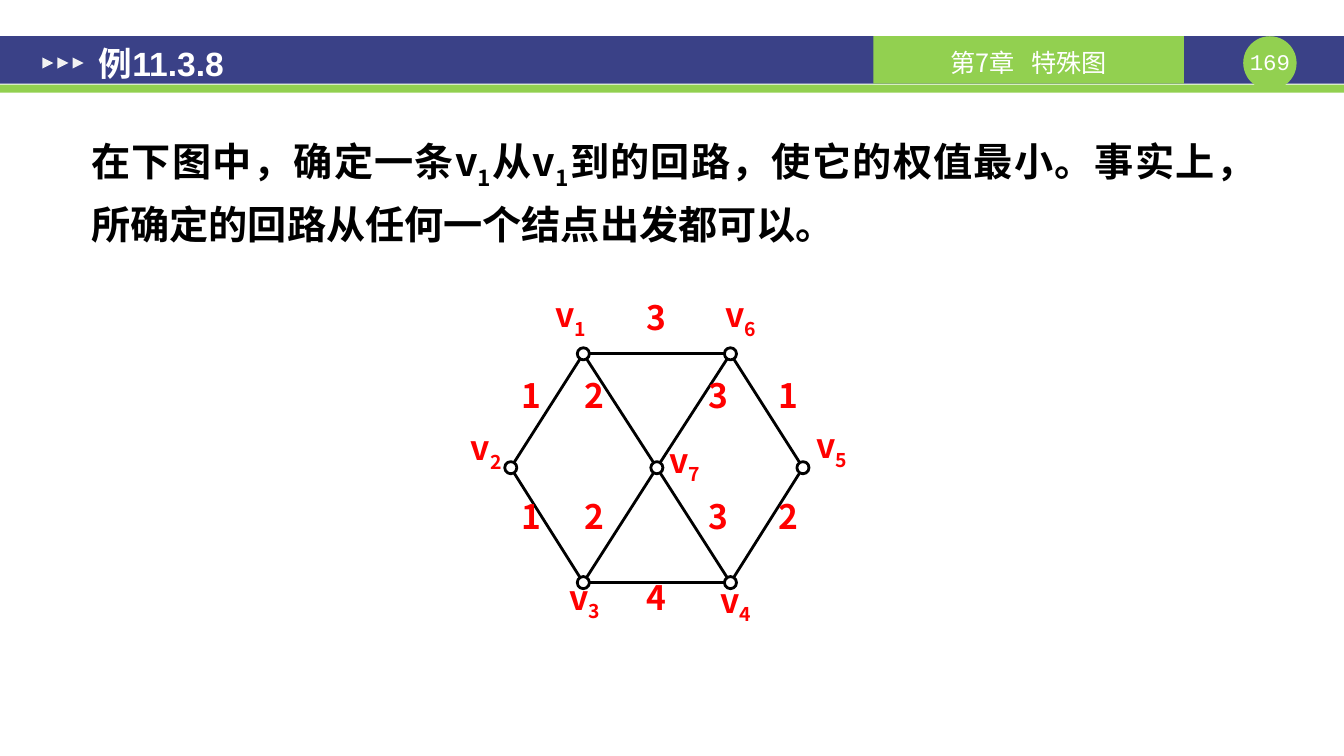
import pptx
import pptx.util
import pptx.dml.color
import pptx.enum.shapes
import pptx.enum.text
import pptx.oxml.ns
import lxml.etree

Inches = pptx.util.Inches
Shape = pptx.enum.shapes.MSO_SHAPE
Align = pptx.enum.text.PP_ALIGN
Anchor = pptx.enum.text.MSO_ANCHOR
qn = pptx.oxml.ns.qn

SANS = "Noto Sans CJK SC"
BLUE, GREEN, RED = "3A4187", "92D050", "FF0000"
WHITE, BLACK = "FFFFFF", "000000"
SIZE = 0.12

NODES = {
    "1": (5.79, 3.51), "6": (7.25, 3.51),
    "2": (5.07, 4.64), "7": (6.52, 4.64), "5": (7.97, 4.64),
    "3": (5.79, 5.78), "4": (7.25, 5.78),
}
EDGES = ["16", "12", "17", "67", "65", "23", "73", "74", "54", "34"]
NAMES = {
    "1": (5.43, 2.92), "2": (4.59, 4.24), "3": (5.57, 5.72), "4": (7.07, 5.75),
    "5": (8.02, 4.22), "6": (7.12, 2.92), "7": (6.56, 4.36),
}
COLS = [5.16, 5.78, 7.01, 7.71]
ROWS = [(3.72, "1231"), (4.92, "1232")]
ENDS = [(2.95, "3"), (5.72, "4")]


def tint(code):
    return pptx.dml.color.RGBColor.from_string(code)


def add_run(para, text, size, color, font=SANS, bold=False, base=0):
    run = para.add_run()
    run.text = text
    run.font.size = pptx.util.Pt(size)
    run.font.bold = bold
    run.font.color.rgb = tint(color)
    run.font.name = font
    props = run.font._element
    lxml.etree.SubElement(props, qn("a:ea")).set("typeface", SANS)
    if base:
        props.set("baseline", str(base * 1000))


def set_frame(frame, insets, anchor=Anchor.TOP, wrap=True):
    frame.word_wrap = wrap
    frame.vertical_anchor = anchor
    sides = [Inches(inset) for inset in insets]
    frame.margin_left, frame.margin_top, frame.margin_right, frame.margin_bottom = sides


def add_box(slide, left, top, width, height, insets=(0, 0, 0, 0), align=Align.CENTER, wrap=True):
    box = slide.shapes.add_textbox(Inches(left), Inches(top), Inches(width), Inches(height))
    set_frame(box.text_frame, insets, wrap=wrap)
    para = box.text_frame.paragraphs[0]
    para.alignment = align
    return para


def add_shape(slide, kind, left, top, width, height, fill, line=None):
    shape = slide.shapes.add_shape(kind, Inches(left), Inches(top), Inches(width), Inches(height))
    shape.shadow.inherit = False
    shape.fill.solid()
    shape.fill.fore_color.rgb = tint(fill)
    if line:
        shape.line.color.rgb = tint(line)
        shape.line.width = pptx.util.Pt(2)
    else:
        shape.line.fill.background()
    return shape


def add_edge(slide, start, end):
    points = [Inches(value) for value in start + end]
    edge = slide.shapes.add_connector(pptx.enum.shapes.MSO_CONNECTOR.STRAIGHT, *points)
    edge.line.color.rgb = tint(BLACK)
    edge.line.width = pptx.util.Pt(2)
    lxml.etree.SubElement(edge._element.spPr, qn("a:effectLst"))


def add_head(slide):
    add_shape(slide, Shape.RECTANGLE, 0, 0.36, 13.34, 0.47, BLUE)
    add_shape(slide, Shape.RECTANGLE, 0, 0.84, 13.34, 0.08, GREEN)
    add_shape(slide, Shape.OVAL, 12.34, 0.36, 0.53, 0.53, GREEN)
    add_run(add_box(slide, 12.34, 0.48, 0.53, 0.27), "169", 16, WHITE, "Courier New")
    tab = add_shape(slide, Shape.RECTANGLE, 8.67, 0.36, 3.08, 0.47, GREEN)
    set_frame(tab.text_frame, (0.1, 0.04, 0.1, 0), Anchor.MIDDLE)
    para = tab.text_frame.paragraphs[0]
    para.alignment = Align.CENTER
    add_run(para, "第7章\u00a0\u00a0 特殊图".replace("\u00a0", " "), 18, WHITE)
    for index in range(3):
        mark = add_shape(slide, Shape.ISOSCELES_TRIANGLE, 0.42 + 0.15 * index, 0.57, 0.11, 0.11, "F2F2F2")
        mark.rotation = 90


def add_title(slide):
    title = slide.shapes.title
    title.left, title.top = Inches(0.85), Inches(0.39)
    title.width, title.height = Inches(5.83), Inches(0.47)
    set_frame(title.text_frame, (0.13, 0.07, 0.13, 0.07), Anchor.MIDDLE)
    para = title.text_frame.paragraphs[0]
    para.alignment = Align.LEFT
    add_run(para, "例11.3.8", 24, WHITE, "Arial", True)
    title.element.getparent().append(title.element)


def add_task(slide):
    para = add_box(slide, 0.81, 1.21, 11.75, 1.23, (0.1, 0.05, 0.1, 0.05), Align.JUSTIFY)
    para.line_spacing = 1.2
    parts = [
        ("在下图中，确定一条v", 0), ("1", -25), ("从v", 0), ("1", -25),
        ("到的回路，使它的权值最小。事实上，所确定的回路从任何一个结点出发都可以。", 0),
    ]
    for text, base in parts:
        add_run(para, text, 28, BLACK, bold=True, base=base)


def add_weight(slide, left, top, text):
    add_run(add_box(slide, left, top, 0.24, 0.4, wrap=False), text, 24, RED, bold=True)


def add_graph(slide):
    for start, end in EDGES:
        add_edge(slide, NODES[start], NODES[end])
    for name, (left, top) in NAMES.items():
        para = add_box(slide, left, top, 0.47, 0.4)
        add_run(para, "v", 24, RED, bold=True)
        add_run(para, name, 24, RED, bold=True, base=-25)
    for top, weights in ROWS:
        for left, text in zip(COLS, weights):
            add_weight(slide, left, top, text)
    for top, text in ENDS:
        add_weight(slide, 6.4, top, text)
    for x, y in NODES.values():
        add_shape(slide, Shape.OVAL, x - SIZE / 2, y - SIZE / 2, SIZE, SIZE, WHITE, BLACK)


def main():
    deck = pptx.Presentation()
    deck.slide_width, deck.slide_height = Inches(13.34), Inches(7.5)
    slide = deck.slides.add_slide(deck.slide_layouts[5])
    add_head(slide)
    add_title(slide)
    add_task(slide)
    add_graph(slide)
    deck.save("out.pptx")


if __name__ == "__main__":
    main()
